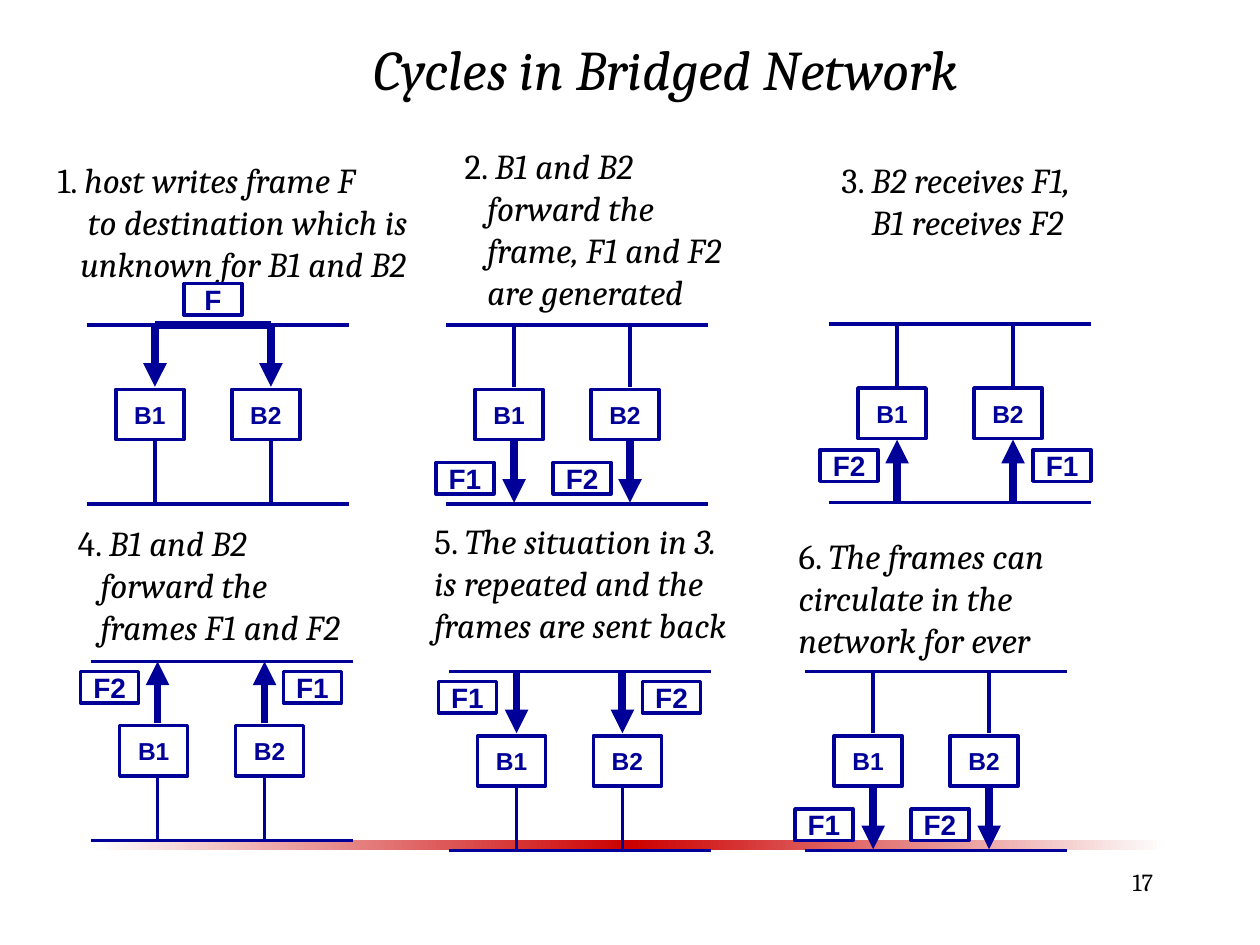
from dataclasses import dataclass

from lxml import etree
from pptx import Presentation
from pptx import util as u
from pptx.dml.color import RGBColor
from pptx.enum import shapes, text
from pptx.oxml.ns import qn


@dataclass(frozen=True)
class Theme:
    ink: str = "000000"
    navy: str = "000099"
    white: str = "FFFFFF"
    pale: str = "FEFEFE"
    red: str = "CC0000"
    serif: str = "Cambria"
    sans: str = "Arial"
    title: float = 32
    body: float = 20
    tag: float = 16
    node: float = 14
    page: float = 14
    thin: float = 2
    thick: float = 4.5


THEME = Theme()
BUS, DROP = 2.08, 1.42        # bus length, distance between the two buses
WIRE, GAP = 0.49, 0.92        # wire length, start of the lower wire
NODE = (0.54, 0.40)
TAG = (0.46, 0.25)
STEP = 0.06                   # indent of one character

# box: caption box; lines: (indent steps, words); net: top left of the network
# wires: offsets of both wires; flow: (wire half, direction) of the thick arrows
PANELS = [
    dict(box=(0.36, 1.21, 3.04, 1.43), net=(0.69, 2.58), wires=(0.54, 1.46),
         lines=[(0, "1. host writes frame F"), (4, "to destination which is"),
                (3, "unknown for B1 and B2")],
         flow=("upper", "down"), tags=[("F", 0.77, -0.33)], bar=True),
    dict(box=(3.59, 1.10, 2.34, 1.43), net=(3.54, 2.58), wires=(0.54, 1.46),
         lines=[(0, "2. B1 and B2"), (3, "forward the"),
                (3, "frame, F1 and F2"), (3, "are generated")],
         flow=("lower", "down"), tags=[("F1", -0.08, 1.09), ("F2", 0.85, 1.09)]),
    dict(box=(6.58, 1.21, 2.16, 0.77), net=(6.58, 2.57), wires=(0.54, 1.46),
         lines=[(0, "3. B2 receives F1,"), (4, "B1 receives F2")],
         flow=("lower", "up"), tags=[("F2", -0.07, 1.0), ("F1", 1.62, 1.0)]),
    dict(box=(0.52, 4.09, 2.48, 1.43), net=(0.72, 5.25), wires=(0.53, 1.38),
         lines=[(0, "4. B1 and B2"), (3, "forward the"), (3, "frames F1 and F2")],
         flow=("upper", "up"), tags=[("F2", -0.08, 0.08), ("F1", 1.53, 0.08)]),
    dict(box=(3.35, 4.07, 2.63, 1.10), net=(3.56, 5.33), wires=(0.54, 1.38),
         lines=[(0, "5. The situation in 3. is repeated and the frames are sent back")],
         flow=("upper", "down"), tags=[("F1", -0.08, 0.08), ("F2", 1.54, 0.08)]),
    dict(box=(6.24, 4.19, 2.54, 1.10), net=(6.39, 5.33), wires=(0.54, 1.46),
         lines=[(0, "6. The frames can circulate in the network for ever")],
         flow=("lower", "down"), tags=[("F1", -0.08, 1.09), ("F2", 0.84, 1.09)]),
]


def rgb(code):
    return RGBColor.from_string(code)


def inch(*nums):
    return [u.Inches(n) for n in nums]


def style(run, face, size, color, bold=False, slant=False):
    font = run.font
    font.name, font.size, font.color.rgb = face, u.Pt(size), rgb(color)
    font.bold, font.italic = bold, slant


def add_line(slide, start, end, width, arrow=False):
    line = slide.shapes.add_connector(
        shapes.MSO_CONNECTOR.STRAIGHT, *inch(*start, *end))
    line.line.color.rgb = rgb(THEME.navy)
    line.line.width = u.Pt(width)
    props = line.element.spPr
    if arrow:
        etree.SubElement(props.find(qn("a:ln")), qn("a:tailEnd"), type="triangle")
    etree.SubElement(props, qn("a:effectLst"))


def add_box(slide, label, left, top, dims, size):
    box = slide.shapes.add_shape(
        shapes.MSO_SHAPE.RECTANGLE, *inch(left, top, *dims))
    box.shadow.inherit = False
    box.fill.solid()
    box.fill.fore_color.rgb = rgb(THEME.white)
    box.line.color.rgb = rgb(THEME.navy)
    box.line.width = u.Pt(THEME.thin)
    frame = box.text_frame
    frame.text = label
    frame.word_wrap = False
    frame.vertical_anchor = text.MSO_ANCHOR.MIDDLE
    para = frame.paragraphs[0]
    para.alignment = text.PP_ALIGN.CENTER
    style(para.runs[0], THEME.sans, size, THEME.navy, bold=True)


def add_band(slide, box):
    """Red stripe that fades out at both ends."""
    band = slide.shapes.add_shape(shapes.MSO_SHAPE.RECTANGLE, *inch(*box))
    band.shadow.inherit = False
    band.line.fill.background()
    band.fill.gradient()
    band.fill.gradient_angle = 0
    stops = band.element.spPr.find(qn("a:gradFill")).find(qn("a:gsLst"))
    for stop in list(stops):
        stops.remove(stop)
    for pos, code in ((0, THEME.pale), (50, THEME.red), (100, THEME.pale)):
        stop = etree.SubElement(stops, qn("a:gs"), pos=str(pos * 1000))
        etree.SubElement(stop, qn("a:srgbClr"), val=code)


def add_title(slide, words, box):
    title = slide.shapes.title
    title.left, title.top, title.width, title.height = inch(*box)
    frame = title.text_frame
    frame.text = words
    frame.vertical_anchor = text.MSO_ANCHOR.MIDDLE
    para = frame.paragraphs[0]
    para.alignment = text.PP_ALIGN.CENTER
    style(para.runs[0], THEME.serif, THEME.title, THEME.ink, slant=True)


def add_note(slide, lines, box):
    """Numbered caption: upright number, slanted words."""
    frame = slide.shapes.add_textbox(*inch(*box)).text_frame
    frame.word_wrap = True
    for i, (steps, words) in enumerate(lines):
        para = frame.paragraphs[0] if i == 0 else frame.add_paragraph()
        if i == 0:
            num, words = words.split(" ", 1)
            head = para.add_run()
            head.text = num + " "
            style(head, THEME.serif, THEME.body, THEME.ink)
        run = para.add_run()
        run.text = words
        style(run, THEME.serif, THEME.body, THEME.ink, slant=True)
        if steps:
            para._p.get_or_add_pPr().set("marL", str(u.Inches(steps * STEP)))


def add_net(slide, net, wires, flow, tags, bar=False):
    """Two buses joined by bridges B1 and B2, with the frames on their way."""
    x, y = net
    for level in (y, y + DROP):
        add_line(slide, (x, level), (x + BUS, level), THEME.thin)
    for i, off in enumerate(wires):
        add_box(slide, f"B{i + 1}", x + 0.23 + i * 0.92, y + 0.51, NODE, THEME.node)
        for half, top in (("upper", y), ("lower", y + GAP)):
            ends = [(x + off, top), (x + off, top + WIRE)]
            busy = half == flow[0]
            if busy and flow[1] == "up":
                ends.reverse()
            add_line(slide, *ends, THEME.thick if busy else THEME.thin, busy)
    if bar:
        add_line(slide, (x + wires[0], y), (x + wires[1], y), THEME.thick)
    for label, dx, dy in tags:
        add_box(slide, label, x + dx, y + dy, TAG, THEME.tag)


def add_page(slide, num, box):
    frame = slide.shapes.add_textbox(*inch(*box)).text_frame
    frame.word_wrap = True
    frame.text = num
    para = frame.paragraphs[0]
    para.alignment = text.PP_ALIGN.RIGHT
    style(para.runs[0], THEME.serif, THEME.page, THEME.ink)


def main():
    deck = Presentation()
    deck.slide_width, deck.slide_height = inch(10, 7.5)
    slide = deck.slides.add_slide(deck.slide_layouts[5])
    add_band(slide, (0.75, 6.67, 8.5, 0.08))
    add_title(slide, "Cycles in Bridged Network", (1.62, 0, 7.33, 1.08))
    for panel in PANELS:
        parts = dict(panel)
        add_note(slide, parts.pop("lines"), parts.pop("box"))
        add_net(slide, **parts)
    add_page(slide, "17", (7.17, 6.83, 2.08, 0.5))
    deck.save("out.pptx")


if __name__ == "__main__":
    main()
